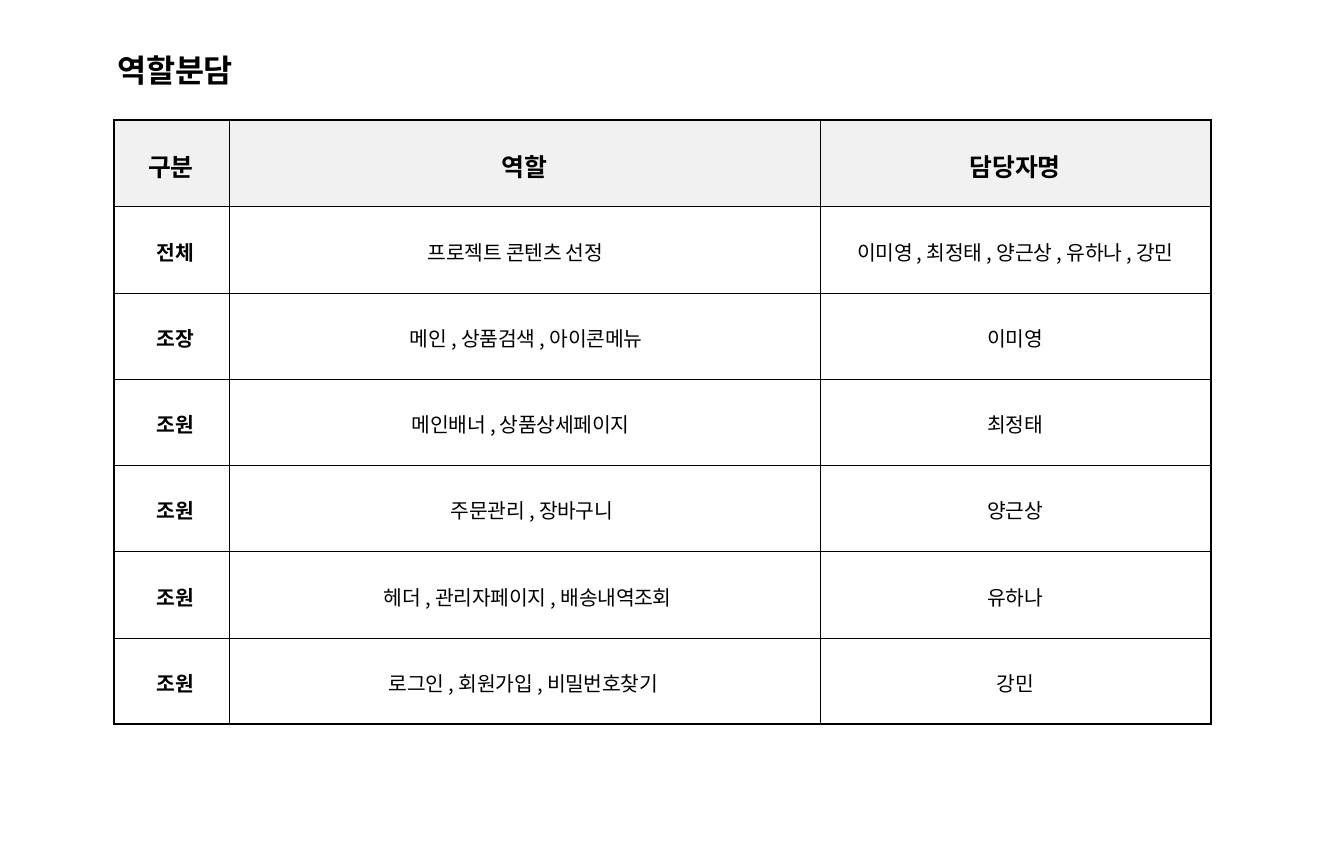
"""Build the role assignment slide: a title and a bordered table."""
from lxml import etree
from pptx import Presentation
from pptx.dml.color import RGBColor
from pptx.enum.text import MSO_ANCHOR, PP_ALIGN
from pptx.oxml.ns import qn
from pptx.util import Inches, Pt

LEFT, CENTER, RIGHT = PP_ALIGN.LEFT, PP_ALIGN.CENTER, PP_ALIGN.RIGHT
MIDDLE = MSO_ANCHOR.MIDDLE
COLORS = {"ink": "000000", "header": "F1F1F1", "paper": "FFFFFF"}
FONT = "Noto Sans CJK KR"
OUTER, INNER = 1, 0.25
TABLE_LEFT, TABLE_TOP, ROW_HEIGHT = 0.7, 0.74, 0.53
COLUMN_WIDTHS = [0.71, 3.63, 2.4]
CATEGORY_INSET = 0.22

HEADERS = ["구분", "역할", "담당자명"]
ASSIGNMENTS = [
    ("전체", "프로젝트 콘텐츠 선정", "이미영 , 최정태 , 양근상 , 유하나 , 강민", 1.22),
    ("조장", "메인 , 상품검색 , 아이콘메뉴", "이미영", 1.11),
    ("조원", "메인배너 , 상품상세페이지", "최정태", 1.12),
    ("조원", "주문관리 , 장바구니", "양근상", 1.36),
    ("조원", "헤더 , 관리자페이지 , 배송내역조회", "유하나", 0.95),
    ("조원", "로그인 , 회원가입 , 비밀번호찾기", "강민", 0.98),
]


def write(frame, text, size, bold, alignment):
    """Put one formatted paragraph into a text frame."""
    frame.text = text
    paragraph = frame.paragraphs[0]
    paragraph.alignment = alignment
    font = paragraph.font
    font.name, font.size, font.bold = FONT, Pt(size), bold
    font.color.rgb = RGBColor.from_string(COLORS["ink"])
    defaults = paragraph._p.pPr.find(qn("a:defRPr"))
    defaults.set("spc", "-10")
    etree.SubElement(defaults, qn("a:ea"), typeface=FONT)


def add_border(cell, side, width):
    """Draw one side of a cell as a solid line."""
    properties = cell._tc.get_or_add_tcPr()
    line = etree.Element(qn(f"a:ln{side}"), w=str(Pt(width)))
    fill = etree.SubElement(line, qn("a:solidFill"))
    etree.SubElement(fill, qn("a:srgbClr"), val=COLORS["ink"])
    properties.insert("LRTB".index(side), line)


deck = Presentation()
deck.slide_width, deck.slide_height = Inches(8.26), Inches(5.31)
page = deck.slides.add_slide(deck.slide_layouts[5])

title = page.shapes.title
title.left, title.top = Inches(0.72), Inches(0.3)
title.width, title.height = Inches(0.81), Inches(0.26)
frame = title.text_frame
frame.margin_left = frame.margin_top = frame.margin_right = frame.margin_bottom = 0
frame.vertical_anchor, frame.word_wrap = MIDDLE, False
write(frame, "역할분담", 14, True, LEFT)

row_count, column_count = len(ASSIGNMENTS) + 1, len(HEADERS)
table = page.shapes.add_table(
    row_count, column_count, Inches(TABLE_LEFT), Inches(TABLE_TOP),
    Inches(sum(COLUMN_WIDTHS)), Inches(ROW_HEIGHT * row_count)).table
for column, width in zip(table.columns, COLUMN_WIDTHS):
    column.width = Inches(width)
for row in table.rows:
    row.height = Inches(ROW_HEIGHT)

for row_index, (*texts, role_indent) in enumerate([(*HEADERS, 0), *ASSIGNMENTS]):
    is_header = row_index == 0
    role_alignment = CENTER if is_header else LEFT
    for column_index, text in enumerate(texts):
        cell = table.cell(row_index, column_index)
        cell.margin_left = Inches(role_indent if column_index == 1 else 0)
        cell.margin_right = Inches(CATEGORY_INSET if column_index == 0 else 0)
        cell.margin_top, cell.margin_bottom = Inches(0.02), 0
        cell.vertical_anchor = MIDDLE
        cell.fill.solid()
        cell.fill.fore_color.rgb = RGBColor.from_string(
            COLORS["header" if is_header else "paper"])
        write(cell.text_frame, text, 11 if is_header else 9,
              is_header or column_index == 0,
              (RIGHT, role_alignment, CENTER)[column_index])
        edges = {"L": column_index == 0, "R": column_index == column_count - 1,
                 "T": is_header, "B": row_index == row_count - 1}
        for side in "LRTB":
            add_border(cell, side, OUTER if edges[side] else INNER)

deck.save("out.pptx")
